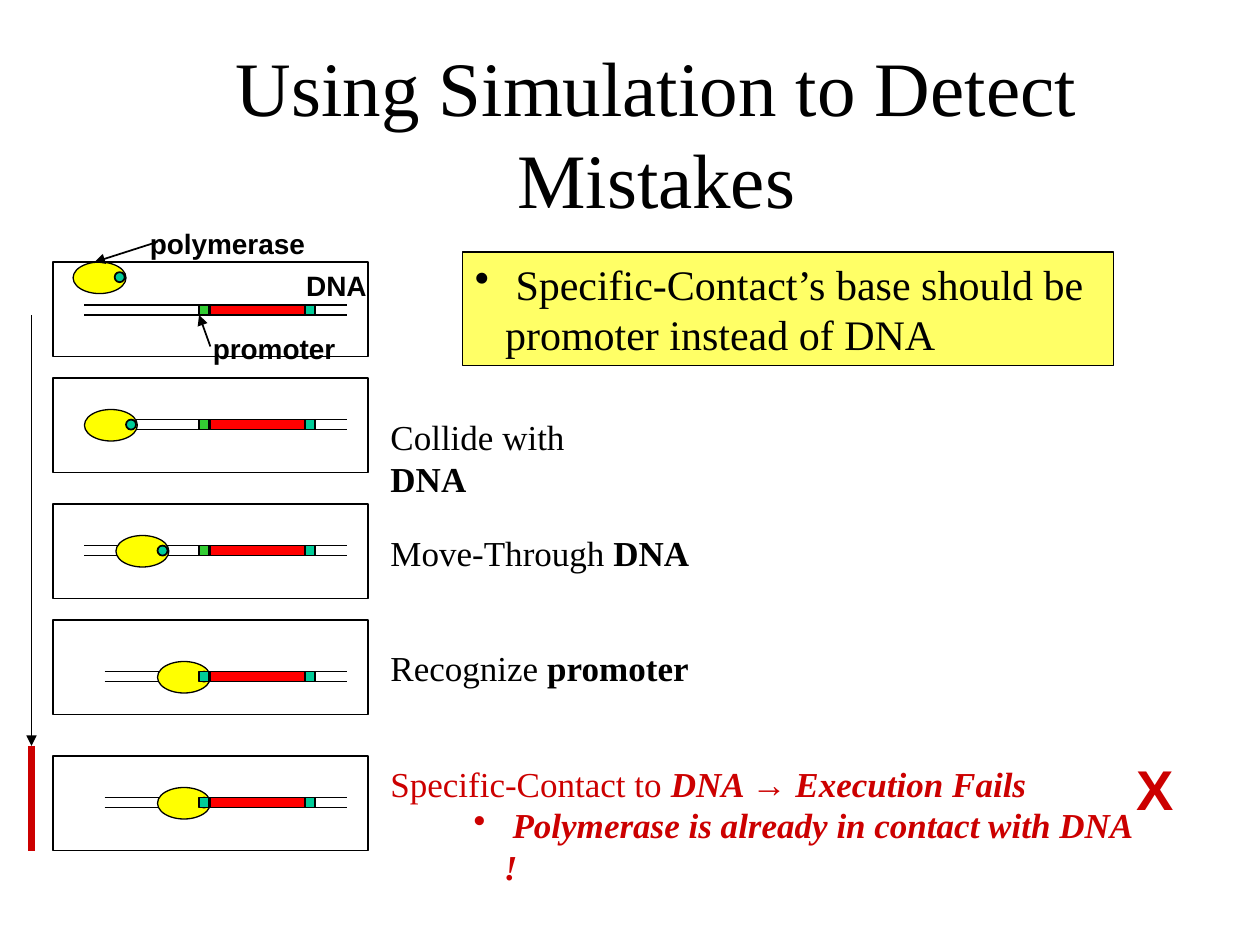
"""Build the slide on using simulation to detect mistakes."""
from lxml import etree
from pptx import Presentation
from pptx.dml.color import RGBColor
from pptx.enum.shapes import MSO_CONNECTOR, MSO_SHAPE
from pptx.enum.text import MSO_ANCHOR, MSO_AUTO_SIZE, PP_ALIGN
from pptx.oxml.ns import qn
from pptx.util import Inches, Pt

RECT, OVAL = MSO_SHAPE.RECTANGLE, MSO_SHAPE.OVAL
STRAIGHT = MSO_CONNECTOR.STRAIGHT
LEFT, CENTER = PP_ALIGN.LEFT, PP_ALIGN.CENTER
SERIF, SANS = "Times New Roman", "Arial"
BLACK, DARK_RED, RED = "000000", "CC0000", "FF0000"
YELLOW, PALE_YELLOW, GREEN, TEAL = "FFFF00", "FFFF66", "33CC33", "00CC99"

TITLE = "Using Simulation to Detect Mistakes"
RULE = " Specific-Contact’s base should be promoter instead of DNA"
# frame top, strand top, strand left, polymerase left, polymerase top, promoter colour
STAGES = [
    (2.08, 2.42, 0.67, 0.58, 2.08, GREEN),
    (3.00, 3.33, 1.08, 0.67, 3.25, GREEN),
    (4.00, 4.33, 0.67, 0.92, 4.25, GREEN),
    (4.92, 5.33, 0.83, 1.25, 5.25, TEAL),
    (6.00, 6.33, 0.83, 1.25, 6.25, TEAL),
]
PART_LABELS = [
    ("polymerase", (1.09, 1.75, 1.43, 0.37)),
    ("promoter", (1.59, 2.58, 1.17, 0.37)),
    ("DNA", (2.33, 2.08, 0.68, 0.37)),
]
STEPS = [
    ("Collide with", " DNA", 3.25, 2.25),
    ("Move-Through", " DNA", 4.17, 2.92),
    ("Recognize", " promoter", 5.08, 3.25),
]
FAILURE = [("Specific-Contact to ", ""), ("DNA ", "bi"), ("→", "bi"), (" Execution Fails", "bi")]
REASON = [(" ", "b"), ("Polymerase is already in contact with DNA !", "bi")]
POINTERS = [
    ((0.25, 2.5), (0.25, 5.92)),
    ((1.67, 2.75), (1.58, 2.5)),
    ((1.25, 1.92), (0.75, 2.08)),
]
UNIT = 0.08

prs = Presentation()
prs.slide_width, prs.slide_height = Inches(10), Inches(7.5)
slide = prs.slides.add_slide(prs.slide_layouts[5])


def rgb(value):
    """Return the colour for a hex string."""
    return RGBColor.from_string(value)


def add_line(start, end, width=0.75, color=BLACK, arrow=False):
    """Draw a straight line, with an arrowhead at its end if asked."""
    ends = [Inches(v) for v in (*start, *end)]
    line = slide.shapes.add_connector(STRAIGHT, *ends)
    line.line.width = Pt(width)
    line.line.color.rgb = rgb(color)
    if arrow:
        outline = line.line._get_or_add_ln()
        etree.SubElement(outline, qn("a:tailEnd"), type="triangle")
    etree.SubElement(line._element.spPr, qn("a:effectLst"))


def add_block(kind, box, fill=None, width=0.75):
    """Draw a black-outlined shape, unfilled unless a colour is given."""
    block = slide.shapes.add_shape(kind, *map(Inches, box))
    block.shadow.inherit = False
    if fill:
        block.fill.solid()
        block.fill.fore_color.rgb = rgb(fill)
    else:
        block.fill.background()
    block.line.color.rgb = rgb(BLACK)
    block.line.width = Pt(width)
    return block


def write(frame, runs, size, font=SERIF, color=BLACK, align=LEFT, wrap=True, bullet=False):
    """Fill a text frame with one paragraph of (text, style) runs."""
    frame.word_wrap = wrap
    paragraph = frame.paragraphs[0]
    paragraph.alignment = align
    if bullet:
        props = paragraph._p.get_or_add_pPr()
        props.set("marL", str(Inches(0.24)))
        props.set("indent", str(Inches(-0.24)))
        tint = etree.SubElement(props, qn("a:buClr"))
        etree.SubElement(tint, qn("a:srgbClr"), val=color)
        etree.SubElement(props, qn("a:buChar"), char="•")
    paragraph.font.size = Pt(size)
    paragraph.font.name = font
    paragraph.font.color.rgb = rgb(color)
    for text, style in runs:
        run = paragraph.add_run()
        run.text = text
        if "b" in style:
            run.font.bold = True
        if "i" in style:
            run.font.italic = True
        if text == "→":
            run.font.name = SANS


def add_text(box, runs, size, **options):
    """Add a text box holding one paragraph."""
    frame = slide.shapes.add_textbox(*map(Inches, box)).text_frame
    write(frame, runs, size, **options)


def add_stage(frame_top, strand_top, strand_left, enzyme_left, enzyme_top, promoter):
    """Draw one frame with its DNA strand, genes and polymerase."""
    for y in (strand_top, strand_top + UNIT):
        add_line((strand_left, y), (2.75, y))
    add_block(OVAL, (enzyme_left, enzyme_top, 0.42, 0.25), YELLOW)
    add_block(OVAL, (enzyme_left + 0.33, enzyme_top + UNIT, UNIT, UNIT), TEAL, 1)
    for left, width, fill in ((1.58, UNIT, promoter), (2.42, UNIT, TEAL), (1.67, 0.75, RED)):
        add_block(RECT, (left, strand_top, width, UNIT), fill)
    add_block(RECT, (0.42, frame_top, 2.5, 0.75), width=1)


title = slide.shapes.title
title.left, title.top, title.width, title.height = map(Inches, (0.75, 0.42, 8.92, 1.25))
title.text_frame.auto_size = MSO_AUTO_SIZE.NONE
title.text_frame.vertical_anchor = MSO_ANCHOR.MIDDLE
write(title.text_frame, [(TITLE, "")], 44, align=CENTER)

for stage in STAGES:
    add_stage(*stage)
for start, end in POINTERS:
    add_line(start, end, 1, arrow=True)
add_line((0.25, 5.92), (0.25, 6.75), 4.5, DARK_RED)

for label, box in PART_LABELS:
    add_text(box, [(label, "b")], 16, font=SANS, align=CENTER, wrap=False)
for action, target, top, width in STEPS:
    add_text((3, top, width, 0.44), [(action, ""), (target, "b")], 20)
add_text((3, 6, 6.67, 0.44), FAILURE, 20, color=DARK_RED)
add_text((3.66, 6.33, 5.48, 0.44), REASON, 20, color=DARK_RED, bullet=True)
add_text((8.92, 5.94, 0.49, 0.64), [("X", "b")], 32,
         font=SANS, color=DARK_RED, align=CENTER, wrap=False)

rule_box = add_block(RECT, (3.67, 2, 5.17, 0.9), PALE_YELLOW)
write(rule_box.text_frame, [(RULE, "")], 24, bullet=True)

prs.save("out.pptx")
